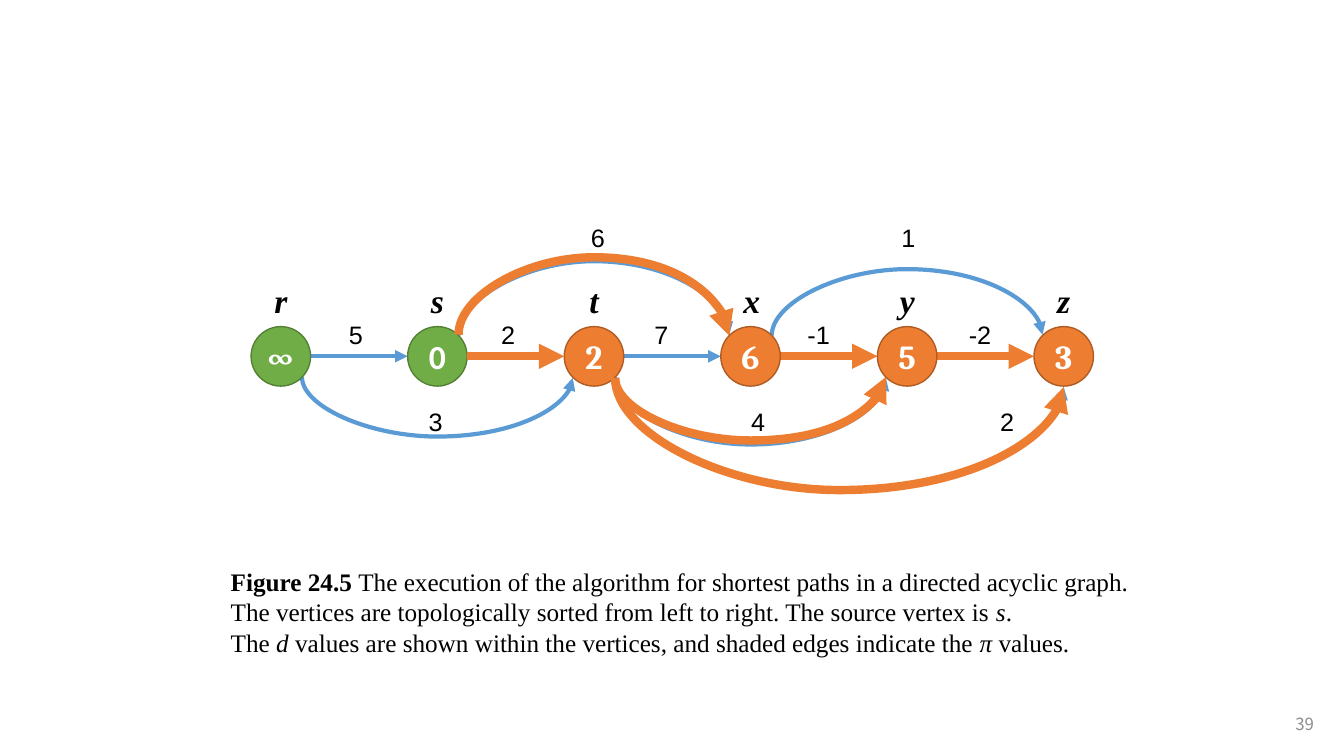
import pptx
import pptx.util
import pptx.dml.color
import pptx.enum.shapes
import pptx.enum.text
import pptx.oxml
import pptx.oxml.ns
from dataclasses import dataclass

Inches = pptx.util.Inches
Align = pptx.enum.text.PP_ALIGN
Anchor = pptx.enum.text.MSO_ANCHOR


@dataclass(frozen=True)
class Theme:
    blue: str = "5B9BD5"
    orange: str = "ED7D31"
    orange_line: str = "AF5C24"
    green: str = "70AD47"
    green_line: str = "538035"
    ink: str = "000000"
    white: str = "FFFFFF"
    gray: str = "8C8C8C"
    serif: str = "Times New Roman"
    sans: str = "Arial"
    value: str = "Cambria"
    number: str = "Noto Sans CJK SC"
    large: int = 24
    body: int = 18
    small: int = 12
    thin: int = 3
    thick: int = 6


THEME = Theme()
NODE_SIZE = 0.59
NODE_PITCH = 1.553
NODE_DROP = 1.08  # from the top of the graph to the top of the nodes
PORT = 0.21  # distance of a curve's end from the node's centre

# Name, value, font, fill and outline of each vertex
GREEN = (THEME.green, THEME.green_line)
ORANGE = (THEME.orange, THEME.orange_line)
VERTICES = [
    ("r", "∞", THEME.value, *GREEN),
    ("s", "0", "Calibri", *GREEN),
    ("t", "2", THEME.value, *ORANGE),
    ("x", "6", THEME.value, *ORANGE),
    ("y", "5", THEME.value, *ORANGE),
    ("z", "3", THEME.value, *ORANGE),
]
INDEX = {vertex[0]: position for position, vertex in enumerate(VERTICES)}

# Curves: vertices, then start, end and turning height below the graph's top
BLUE_CURVES = [
    ("s", "x", 1.17, 1.16, 0.42),
    ("x", "z", 1.17, 1.16, 0.50),
    ("r", "t", 1.58, 1.59, 2.18),
    ("t", "y", 1.58, 1.59, 2.26),
    ("t", "z", 1.59, 1.68, 2.70),
]
ORANGE_CURVES = [
    ("s", "x", 1.16, 1.17, 0.38),
    ("t", "y", 1.59, 1.58, 2.22),
    ("t", "z", 1.59, 1.68, 2.70),
]
# Edge weights: rows by height, with each label's centre from the graph's left
WEIGHTS = {
    0.00: [("6", 3.44), ("1", 6.52)],
    0.96: [("5", 1.04), ("2", 2.55), ("7", 4.07), ("-1", 5.63), ("-2", 7.23)],
    1.82: [("3", 1.83), ("4", 5.03), ("2", 7.50)],
}

CAPTION = [
    [("Figure 24.5 ", {"bold": True}),
     ("The execution of the algorithm for shortest paths in a directed acyclic graph.", {})],
    [("The vertices are topologically sorted from left to right. The source vertex is ", {}),
     ("s", {"italic": True}), (".", {})],
    [("The ", {}), ("d", {"italic": True}),
     (" values are shown within the vertices, and shaded edges indicate the ", {}),
     ("π", {"italic": True}), (" values.", {})],
]


def rgb(color):
    return pptx.dml.color.RGBColor.from_string(color)


def write_text(shape, text, font=THEME.sans, size=THEME.body, color=THEME.ink,
               bold=False, italic=False, align=Align.LEFT, anchor=Anchor.TOP, wrap=False):
    """Write a string, or a list of paragraphs made of (text, style) runs."""
    frame = shape.text_frame
    frame.word_wrap = wrap
    frame.vertical_anchor = anchor
    paragraphs = [[(text, {})]] if isinstance(text, str) else text
    for position, runs in enumerate(paragraphs):
        paragraph = frame.add_paragraph() if position else frame.paragraphs[0]
        paragraph.alignment = align
        for words, style in runs:
            run = paragraph.add_run()
            run.text = words
            run.font.name = font
            run.font.size = pptx.util.Pt(size)
            run.font.color.rgb = rgb(color)
            run.font.bold = style.get("bold", bold)
            run.font.italic = style.get("italic", italic)


def add_label(slide, left, top, width, height, text, **text_format):
    box = slide.shapes.add_textbox(Inches(left), Inches(top), Inches(width), Inches(height))
    write_text(box, text, **text_format)


def add_arrow(slide, kind, start, end, color, width):
    connector = slide.shapes.add_connector(
        kind, *(Inches(value) for value in (*start, *end)))
    connector.line.color.rgb = rgb(color)
    connector.line.width = pptx.util.Pt(width)
    line = connector.line._get_or_add_ln()
    line.append(pptx.oxml.parse_xml(
        f'<a:tailEnd {pptx.oxml.ns.nsdecls("a")} type="triangle"/>'))
    connector._element.spPr.append(pptx.oxml.parse_xml(
        f'<a:effectLst {pptx.oxml.ns.nsdecls("a")}/>'))
    return connector


def add_curve(slide, start, end, turn, color, width):
    """Draw a curved arrow that leaves and arrives vertically, turning at a height."""
    connector = add_arrow(slide, pptx.enum.shapes.MSO_CONNECTOR.CURVE, start, end, color, width)
    span, rise = end[0] - start[0], abs(end[1] - start[1])
    upward = end[1] < start[1]
    # The connector is turned a quarter, so its box lies across the span
    connector.left = Inches((start[0] + end[0] - rise) / 2)
    connector.top = Inches((start[1] + end[1] - span) / 2)
    connector.width, connector.height = Inches(rise), Inches(span)
    transform = connector._element.spPr.xfrm
    transform.set("rot", str((90 if upward else 270) * 60000))
    transform.set("flipH", "1")
    transform.set("flipV", "1" if upward else "0")
    depth = start[1] - turn if upward else turn - start[1]
    geometry = connector._element.spPr.prstGeom
    for guides in geometry.findall(pptx.oxml.ns.qn("a:avLst")):
        geometry.remove(guides)
    geometry.append(pptx.oxml.parse_xml(
        f'<a:avLst {pptx.oxml.ns.nsdecls("a")}>'
        f'<a:gd name="adj1" fmla="val {round(depth / rise * 100000)}"/></a:avLst>'))


def add_graph(slide, left, top):
    def center(name):
        return left + NODE_SIZE / 2 + INDEX[name] * NODE_PITCH

    def add_edges(pairs, curves, color, width):
        middle = top + NODE_DROP + NODE_SIZE / 2
        for source, target in pairs:
            add_arrow(slide, pptx.enum.shapes.MSO_CONNECTOR.STRAIGHT,
                      (center(source) + NODE_SIZE / 2, middle),
                      (center(target) - NODE_SIZE / 2, middle), color, width)
        for source, target, start, end, turn in curves:
            # The longest curve arrives at the bottom of its vertex
            port = 0 if (source, target) == ("t", "z") else PORT
            add_curve(slide, (center(source) + PORT, top + start),
                      (center(target) - port, top + end), top + turn, color, width)

    def add_vertices(vertices):
        for name, value, font, fill, outline in vertices:
            node = slide.shapes.add_shape(
                pptx.enum.shapes.MSO_SHAPE.OVAL, Inches(center(name) - NODE_SIZE / 2),
                Inches(top + NODE_DROP), Inches(NODE_SIZE), Inches(NODE_SIZE))
            node.shadow.inherit = False
            node.fill.solid()
            node.fill.fore_color.rgb = rgb(fill)
            node.line.color.rgb = rgb(outline)
            node.line.width = pptx.util.Pt(1)
            write_text(node, value, font=font, size=THEME.large, color=THEME.white,
                       bold=True, align=Align.CENTER, anchor=Anchor.MIDDLE)
            add_label(slide, center(name) - 0.17, top + 0.57, 0.34, 0.51, name,
                      font=THEME.serif, size=THEME.large, bold=True, italic=True,
                      align=Align.CENTER)

    # Plain edges, then shaded edges between the two halves of the vertices
    add_edges(["rs", "tx"], BLUE_CURVES, THEME.blue, THEME.thin)
    add_vertices(VERTICES[:3])
    add_edges(["st", "xy", "yz"], ORANGE_CURVES, THEME.orange, THEME.thick)
    add_vertices(VERTICES[3:])

    # Edge weights
    for drop, weights in WEIGHTS.items():
        for weight, middle in weights:
            add_label(slide, left + middle - 0.22, top + drop, 0.44, 0.4, weight,
                      align=Align.CENTER)


def add_caption(slide, left, top, width, height):
    add_label(slide, left, top, width, height, CAPTION, font=THEME.serif)


def add_page_number(slide, left, top, width, height):
    add_label(slide, left, top, width, height, "39", font=THEME.number, size=THEME.small,
              color=THEME.gray, align=Align.RIGHT, anchor=Anchor.MIDDLE, wrap=True)


def main():
    presentation = pptx.Presentation()
    presentation.slide_width = Inches(13.33)
    presentation.slide_height = Inches(7.5)
    slide = presentation.slides.add_slide(presentation.slide_layouts[6])
    add_graph(slide, 2.49, 2.16)
    add_caption(slide, 2.19, 5.57, 9.2, 1.01)
    add_page_number(slide, 12.53, 6.98, 0.6, 0.4)
    presentation.save("out.pptx")


if __name__ == "__main__":
    main()
